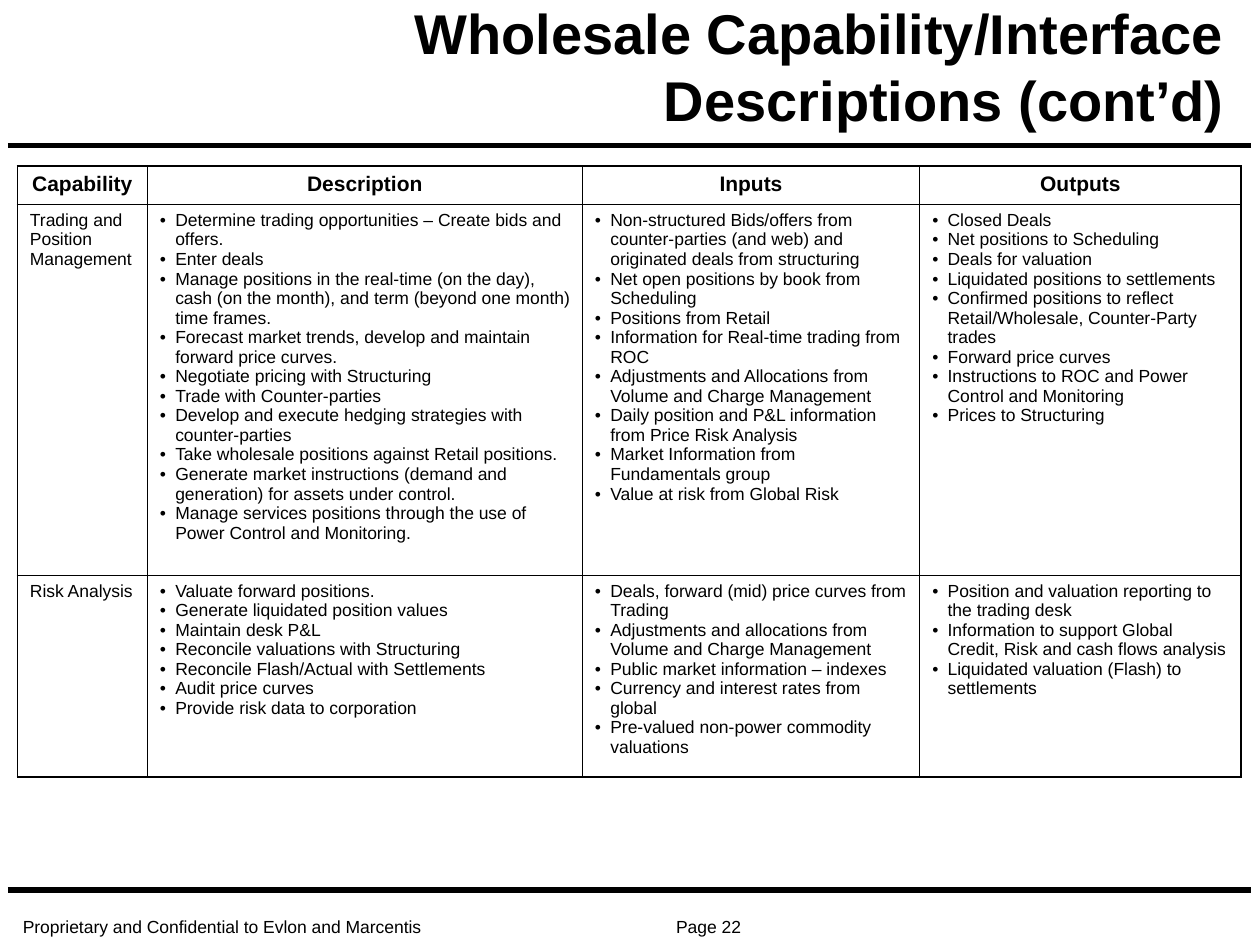
"""Build the wholesale capability and interface description slide."""
from lxml import etree
from pptx import Presentation
from pptx import util as u
from pptx.dml.color import RGBColor
from pptx.enum import shapes, text
from pptx.oxml.ns import qn

BLACK = RGBColor(0x00, 0x00, 0x00)
WHITE = RGBColor(0xFF, 0xFF, 0xFF)
FONT = "Arial"
THIN, THICK = u.Pt(0.45), u.Pt(1.08)
INDENT = u.Cm(0.31)

HEADINGS = ["Capability", "Description", "Inputs", "Outputs"]
CAPABILITIES = [
    (
        "Trading and Position Management",
        [
            "Determine trading opportunities – Create bids and offers.",
            "Enter deals",
            "Manage positions in the real-time (on the day), cash (on the month), "
            "and term (beyond one month) time frames.",
            "Forecast market trends, develop and maintain forward price curves.",
            "Negotiate pricing with Structuring",
            "Trade with Counter-parties",
            "Develop and execute hedging strategies with counter-parties",
            "Take wholesale positions against Retail positions.",
            "Generate market instructions (demand and generation) for assets under control.",
            "Manage services positions through the use of Power Control and Monitoring.",
        ],
        [
            "Non-structured Bids/offers from counter-parties (and web) "
            "and originated deals from structuring",
            "Net open positions by book from Scheduling",
            "Positions from Retail",
            "Information for Real-time trading from ROC",
            "Adjustments and Allocations from Volume and Charge Management",
            "Daily position and P&L information from Price Risk Analysis",
            "Market Information from Fundamentals group",
            "Value at risk from Global Risk",
        ],
        [
            "Closed Deals",
            "Net positions to Scheduling",
            "Deals for valuation",
            "Liquidated positions to settlements",
            "Confirmed positions to reflect Retail/Wholesale, Counter-Party trades",
            "Forward price curves",
            "Instructions to ROC and Power Control and Monitoring",
            "Prices to Structuring",
        ],
    ),
    (
        "Risk Analysis",
        [
            "Valuate forward positions.",
            "Generate liquidated position values",
            "Maintain desk P&L",
            "Reconcile valuations with Structuring",
            "Reconcile Flash/Actual with Settlements",
            "Audit price curves",
            "Provide risk data to corporation",
        ],
        [
            "Deals, forward (mid) price curves from Trading",
            "Adjustments and allocations from Volume and Charge Management",
            "Public market information – indexes",
            "Currency and interest rates from global",
            "Pre-valued non-power commodity valuations",
        ],
        [
            "Position and valuation reporting to the trading desk",
            "Information to support Global Credit, Risk and cash flows analysis",
            "Liquidated valuation (Flash) to settlements",
        ],
    ),
]


def add_run(paragraph, words, size, bold=False):
    run = paragraph.add_run()
    run.text = words
    run.font.name = FONT
    run.font.size = u.Pt(size)
    run.font.bold = bold
    run.font.color.rgb = BLACK


def add_border(cell, side, width):
    line = etree.SubElement(cell._tc.get_or_add_tcPr(), qn(f"a:ln{side}"), w=str(width))
    fill = etree.SubElement(line, qn("a:solidFill"))
    etree.SubElement(fill, qn("a:srgbClr"), val=str(BLACK))


presentation = Presentation()
presentation.slide_width = u.Cm(25.4)
presentation.slide_height = u.Cm(19.05)
slide = presentation.slides.add_slide(presentation.slide_layouts[5])

title = slide.shapes.title
title.left, title.top, title.width, title.height = u.Cm(7.14), u.Cm(1), u.Cm(17.8), u.Cm(1.8)
title.text_frame.auto_size = text.MSO_AUTO_SIZE.NONE
title.text_frame.vertical_anchor = text.MSO_ANCHOR.BOTTOM
paragraph = title.text_frame.paragraphs[0]
paragraph.alignment = text.PP_ALIGN.RIGHT
add_run(paragraph, "Wholesale Capability/Interface Descriptions (cont’d)", 32, True)

for height in (2.93, 17.94):
    rule = slide.shapes.add_connector(
        shapes.MSO_CONNECTOR.STRAIGHT, u.Cm(0.16), u.Cm(height), u.Cm(25.21), u.Cm(height))
    rule.line.color.rgb = BLACK
    rule.line.width = u.Pt(3)
    etree.SubElement(rule._element.spPr, qn("a:effectLst"))

footer = slide.shapes.add_textbox(u.Cm(0.21), u.Cm(18.42), u.Cm(15.44), u.Cm(0.59))
footer.text_frame.word_wrap = True
footer.text_frame.vertical_anchor = text.MSO_ANCHOR.BOTTOM
paragraph = footer.text_frame.paragraphs[0]
paragraph.line_spacing = 0.8
tabs = etree.SubElement(paragraph._p.get_or_add_pPr(), qn("a:tabLst"))
etree.SubElement(tabs, qn("a:tab"), pos=str(u.Cm(14.48)), algn="r")
add_run(paragraph, "Proprietary and Confidential to Evlon and Marcentis\tPage 22", 10)

column_widths = [2.62, 8.77, 6.8, 6.48]
row_heights = [0.77, 7.47, 4.08]
table = slide.shapes.add_table(
    len(row_heights), len(column_widths), u.Cm(0.35), u.Cm(3.35),
    u.Cm(sum(column_widths)), u.Cm(sum(row_heights))).table
table.first_row = table.horz_banding = False
for column, width in zip(table.columns, column_widths):
    column.width = u.Cm(width)
for row, height in zip(table.rows, row_heights):
    row.height = u.Cm(height)

last_row, last_column = len(row_heights) - 1, len(column_widths) - 1
for row_index, contents in enumerate([HEADINGS, *CAPABILITIES]):
    for column_index, content in enumerate(contents):
        cell = table.cell(row_index, column_index)
        outer_sides = {
            "L": column_index == 0,
            "R": column_index == last_column,
            "T": row_index == 0,
            "B": row_index == last_row,
        }
        for side, outer in outer_sides.items():
            add_border(cell, side, THICK if outer else THIN)
        cell.fill.solid()
        cell.fill.fore_color.rgb = WHITE
        bulleted = isinstance(content, list)
        for index, words in enumerate(content if bulleted else [content]):
            frame = cell.text_frame
            paragraph = frame.add_paragraph() if index else frame.paragraphs[0]
            if bulleted:
                properties = paragraph._p.get_or_add_pPr()
                properties.set("marL", str(INDENT))
                properties.set("indent", str(-INDENT))
                etree.SubElement(properties, qn("a:buFont"), typeface=FONT)
                etree.SubElement(properties, qn("a:buChar"), char="•")
            if row_index == 0:
                paragraph.alignment = text.PP_ALIGN.CENTER
                add_run(paragraph, words, 12, True)
            else:
                add_run(paragraph, words, 10)

presentation.save("out.pptx")
